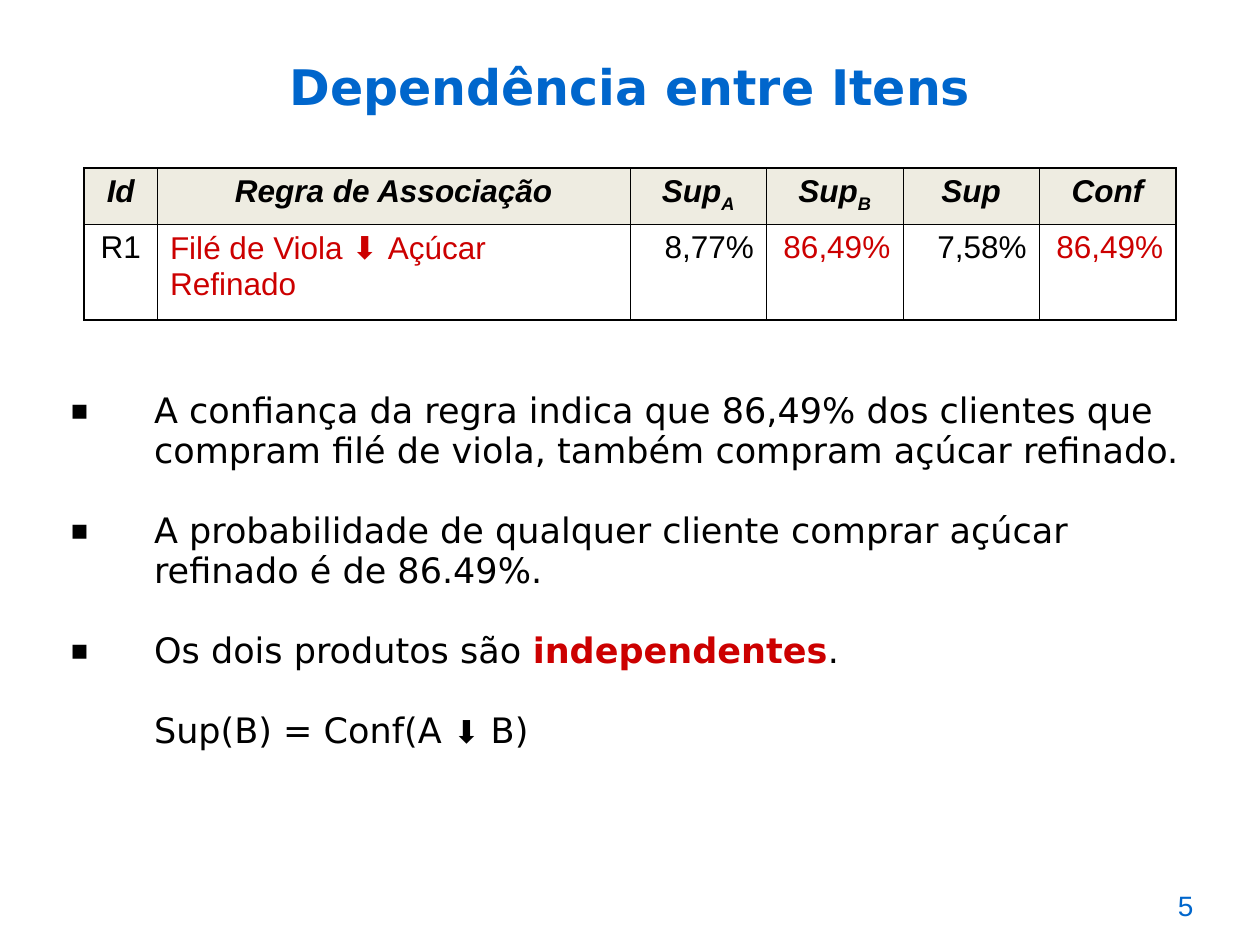
import pptx
import pptx.util
import pptx.dml.color
import pptx.enum.text
import pptx.oxml.ns
import lxml.etree
from dataclasses import dataclass

Pt = pptx.util.Pt
ALIGN = pptx.enum.text.PP_ALIGN
ANCHOR = pptx.enum.text.MSO_ANCHOR


@dataclass(frozen=True)
class Theme:
    blue: str = "0066CC"
    red: str = "CC0000"
    black: str = "000000"
    header: str = "EEECE1"
    sans: str = "Arial"
    wide: str = "DejaVu Sans"
    title_size: int = 28
    body_size: int = 20
    table_size: int = 18
    number_size: int = 16
    inner_line: float = 0.45
    outer_line: float = 1.08


THEME = Theme()
RED = {"color": THEME.red}
SUB = {"base": -25000}

TITLE = "Dependência entre Itens"
PAGE_NUMBER = "5"
COLUMN_WIDTHS = [42, 270, 78, 78, 78, 78]
ROW_HEIGHTS = [32, 55]
HEADER = [
    [("Id", {})],
    [("Regra de Associação", {})],
    [("Sup", {}), ("A", SUB)],
    [("Sup", {}), ("B", SUB)],
    [("Sup", {})],
    [("Conf", {})],
]
RULE = [
    [("R1", {})],
    [("Filé de Viola ", RED), ("⬇ ", {**RED, "font": THEME.wide}), ("Açúcar Refinado", RED)],
    [("8,77%", {})],
    [("86,49%", RED)],
    [("7,58%", {})],
    [("86,49%", RED)],
]
RULE_ALIGN = [ALIGN.CENTER, ALIGN.LEFT] + [ALIGN.RIGHT] * 4
POINTS = [
    (True, [("A confiança da regra indica que 86,49% dos clientes que compram filé de viola, "
             "também compram açúcar refinado.", {})]),
    (True, [("A probabilidade de qualquer cliente comprar açúcar refinado é de 86.49%.", {})]),
    (True, [("Os dois produtos são ", {}), ("independentes", {**RED, "bold": True}), (".", {})]),
    (False, [("Sup(B) = Conf(A ", {}), ("⬇", {"size": THEME.table_size}), (" B)", {})]),
]
POINT_INDENT = 48
POINT_GAP = 23


def add_child(parent, tag, **attributes):
    return lxml.etree.SubElement(parent, pptx.oxml.ns.qn(tag), attributes)


def write(para, spans, align=ALIGN.LEFT, **defaults):
    para.alignment = align
    for text, changes in spans:
        style = {"color": THEME.black, "bold": False, "italic": False, **defaults, **changes}
        span = para.add_run()
        span.text = text
        span.font.name = style["font"]
        span.font.size = Pt(style["size"])
        span.font.bold = style["bold"]
        span.font.italic = style["italic"]
        span.font.color.rgb = pptx.dml.color.RGBColor.from_string(style["color"])
        if "base" in style:
            span.font._element.set("baseline", str(style["base"]))


def add_box(page, left, top, width, height, anchor=ANCHOR.TOP):
    box = page.shapes.add_textbox(Pt(left), Pt(top), Pt(width), Pt(height))
    box.text_frame.word_wrap = True
    box.text_frame.vertical_anchor = anchor
    return box.text_frame


def add_bullet(para):
    properties = para._p.get_or_add_pPr()
    color = add_child(properties, "a:buClr")
    add_child(color, "a:srgbClr", val=THEME.black)
    add_child(properties, "a:buSzPct", val="80000")
    add_child(properties, "a:buFont", typeface=THEME.wide)
    add_child(properties, "a:buChar", char="▪")


def set_borders(cell, outer_sides):
    properties = cell._tc.get_or_add_tcPr()
    for position, side in enumerate("LRTB"):
        width = THEME.outer_line if side in outer_sides else THEME.inner_line
        line = add_child(properties, f"a:ln{side}", w=str(int(Pt(width))))
        fill = add_child(line, "a:solidFill")
        add_child(fill, "a:srgbClr", val=THEME.black)
        properties.insert(position, line)


def add_rule_table(page):
    rows = [HEADER, RULE]
    table = page.shapes.add_table(
        len(rows), len(COLUMN_WIDTHS), Pt(48), Pt(96),
        Pt(sum(COLUMN_WIDTHS)), Pt(sum(ROW_HEIGHTS))).table
    table.first_row = table.horz_banding = False
    for column, width in zip(table.columns, COLUMN_WIDTHS):
        column.width = Pt(width)
    for row, height in zip(table.rows, ROW_HEIGHTS):
        row.height = Pt(height)
    last_column = len(COLUMN_WIDTHS) - 1
    for r, row in enumerate(rows):
        is_header = r == 0
        for c, spans in enumerate(row):
            cell = table.cell(r, c)
            if is_header:
                cell.fill.solid()
                cell.fill.fore_color.rgb = pptx.dml.color.RGBColor.from_string(THEME.header)
            else:
                cell.fill.background()
            sides = "T" if is_header else "B"
            sides += "L" if c == 0 else "R" if c == last_column else ""
            set_borders(cell, sides)
            write(cell.text_frame.paragraphs[0], spans,
                  ALIGN.CENTER if is_header else RULE_ALIGN[c],
                  font=THEME.sans, size=THEME.table_size, bold=is_header, italic=is_header)


def add_points(page):
    frame = add_box(page, 33, 220, 659, 258)
    for number, (bulleted, spans) in enumerate(POINTS):
        para = frame.add_paragraph() if number else frame.paragraphs[0]
        properties = para._p.get_or_add_pPr()
        properties.set("marL", str(int(Pt(POINT_INDENT))))
        properties.set("indent", str(int(Pt(-POINT_INDENT if bulleted else 0))))
        if bulleted:
            add_bullet(para)
        para.line_spacing = 0.95
        if number:
            para.space_before = Pt(POINT_GAP)
        write(para, spans, font=THEME.wide, size=THEME.body_size)


def main():
    deck = pptx.Presentation()
    deck.slide_width, deck.slide_height = Pt(720), Pt(540)
    page = deck.slides.add_slide(deck.slide_layouts[6])
    number = add_box(page, 666, 504, 54, 27)
    write(number.paragraphs[0], [(PAGE_NUMBER, {})],
          font=THEME.sans, size=THEME.number_size, color=THEME.blue)
    title = add_box(page, 54, 25, 612, 48, ANCHOR.MIDDLE)
    write(title.paragraphs[0], [(TITLE, {})], ALIGN.CENTER,
          font=THEME.wide, size=THEME.title_size, color=THEME.blue, bold=True)
    add_rule_table(page)
    add_points(page)
    deck.save("out.pptx")


if __name__ == "__main__":
    main()
